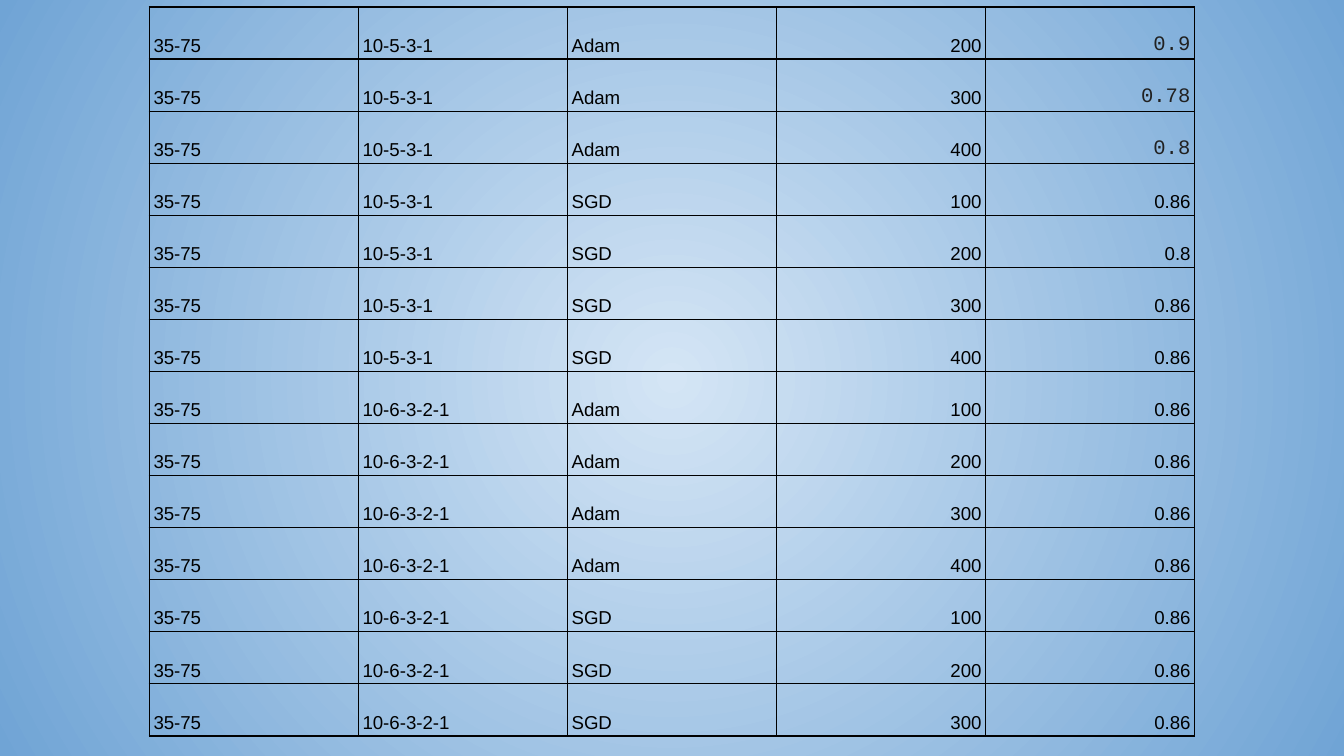
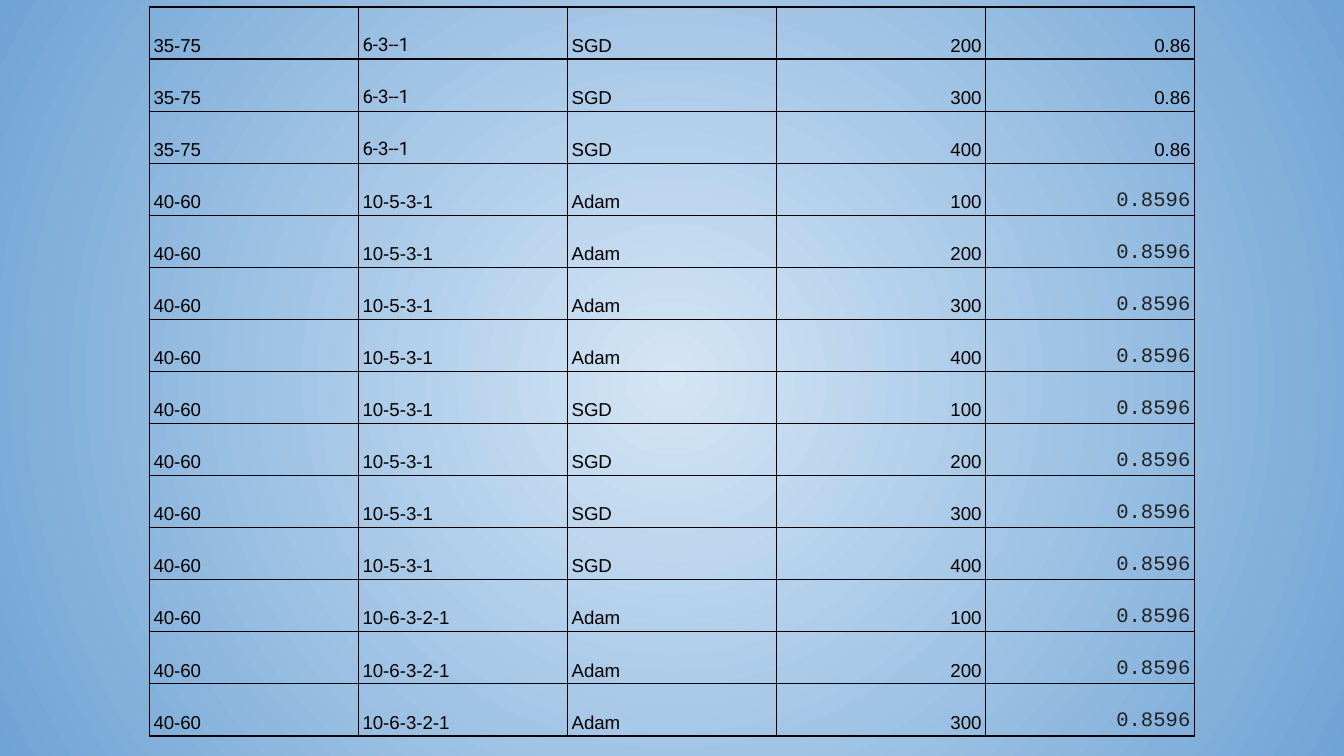
from dataclasses import dataclass

from lxml.etree import SubElement
from pptx import Presentation
from pptx.dml.color import RGBColor
from pptx.enum.text import MSO_ANCHOR as Anchor, PP_ALIGN as Align
from pptx.oxml.ns import qn
from pptx.util import Pt

NETWORK, EPOCHS, SCORE = 1, 3, 4
CODE_SCORE = {SCORE: "code"}
ROBOTO_NETWORK = {NETWORK: "roboto"}

PAGES = [
    [
        ("35-75", "10-5-3-1", "Adam", {200: "0.9", 300: "0.78", 400: "0.8"}, CODE_SCORE),
        ("35-75", "10-5-3-1", "SGD", {100: "0.86", 200: "0.8", 300: "0.86", 400: "0.86"}, {}),
        ("35-75", "10-6-3-2-1", "Adam", dict.fromkeys((100, 200, 300, 400), "0.86"), {}),
        ("35-75", "10-6-3-2-1", "SGD", dict.fromkeys((100, 200, 300), "0.86"), {}),
    ],
    [
        ("35-75", "6-3--1", "SGD", dict.fromkeys((200, 300, 400), "0.86"), ROBOTO_NETWORK),
        ("40-60", "10-5-3-1", "Adam", dict.fromkeys((100, 200, 300, 400), "0.8596"), CODE_SCORE),
        ("40-60", "10-5-3-1", "SGD", dict.fromkeys((100, 200, 300, 400), "0.8596"), CODE_SCORE),
        ("40-60", "10-6-3-2-1", "Adam", dict.fromkeys((100, 200, 300), "0.8596"), CODE_SCORE),
    ],
]

PAGE_WIDTH, PAGE_HEIGHT = Pt(720), Pt(405)
TABLE_LEFT, TABLE_TOP = Pt(80), Pt(3.75)
COLUMN_COUNT, COLUMN_WIDTH, ROW_HEIGHT = 5, Pt(112), Pt(27.9)
SIDE_MARGIN, END_MARGIN = Pt(2.25), Pt(1.5)


@dataclass(frozen=True)
class Theme:
    center: str = "D4E5F5"
    edge: str = "70A4D5"
    border: str = "000000"
    border_width: int = Pt(0.75)
    line_spacing: float = 1.15
    plain: tuple = ("Arial", 10, "000000")
    roboto: tuple = ("Roboto", 10, "000000")
    code: tuple = ("Courier New", 11, "212121")


THEME = Theme()


def paint_background(master):
    fill = master.background.fill
    fill.gradient()
    for stop, color, position in zip(fill.gradient_stops, (THEME.center, THEME.edge), (0, 1)):
        stop.color.rgb = RGBColor.from_string(color)
        stop.position = position
    gradient = master.element.find(".//" + qn("a:gradFill"))
    gradient.remove(gradient.find(qn("a:lin")))
    circle = SubElement(gradient, qn("a:path"), path="circle")
    SubElement(circle, qn("a:fillToRect"), l="50000", t="50000", r="50000", b="50000")


def add_borders(cell):
    properties = cell._tc.get_or_add_tcPr()
    for side in ("a:lnL", "a:lnR", "a:lnT", "a:lnB"):
        line = SubElement(properties, qn(side), w=str(THEME.border_width))
        fill = SubElement(line, qn("a:solidFill"))
        SubElement(fill, qn("a:srgbClr"), val=THEME.border)


def write(cell, text, *, style="plain", align=Align.LEFT):
    para = cell.text_frame.paragraphs[0]
    para.alignment = align
    para.line_spacing = THEME.line_spacing
    span = para.add_run()
    span.text = text
    name, size, color = getattr(THEME, style)
    span.font.name = name
    span.font.size = Pt(size)
    span.font.color.rgb = RGBColor.from_string(color)


def format_cell(cell):
    cell.vertical_anchor = Anchor.BOTTOM
    cell.margin_left = cell.margin_right = SIDE_MARGIN
    cell.margin_top = cell.margin_bottom = END_MARGIN
    add_borders(cell)
    cell.fill.background()


def add_results(page, groups):
    rows = [
        ((split, network, optimizer, str(epochs), score), styles)
        for split, network, optimizer, scores, styles in groups
        for epochs, score in scores.items()
    ]
    table = page.shapes.add_table(
        len(rows), COLUMN_COUNT, TABLE_LEFT, TABLE_TOP,
        COLUMN_COUNT * COLUMN_WIDTH, len(rows) * ROW_HEIGHT,
    ).table
    table.first_row = table.horz_banding = False
    for column in table.columns:
        column.width = COLUMN_WIDTH
    for row, (values, styles) in zip(table.rows, rows):
        row.height = ROW_HEIGHT
        for index, (cell, value) in enumerate(zip(row.cells, values)):
            format_cell(cell)
            write(
                cell, value,
                style=styles.get(index, "plain"),
                align=Align.RIGHT if index >= EPOCHS else Align.LEFT,
            )


def main():
    deck = Presentation()
    deck.slide_width, deck.slide_height = PAGE_WIDTH, PAGE_HEIGHT
    paint_background(deck.slide_master)
    blank = deck.slide_layouts.get_by_name("Blank")
    for groups in PAGES:
        add_results(deck.slides.add_slide(blank), groups)
    deck.save("out.pptx")


if __name__ == "__main__":
    main()
